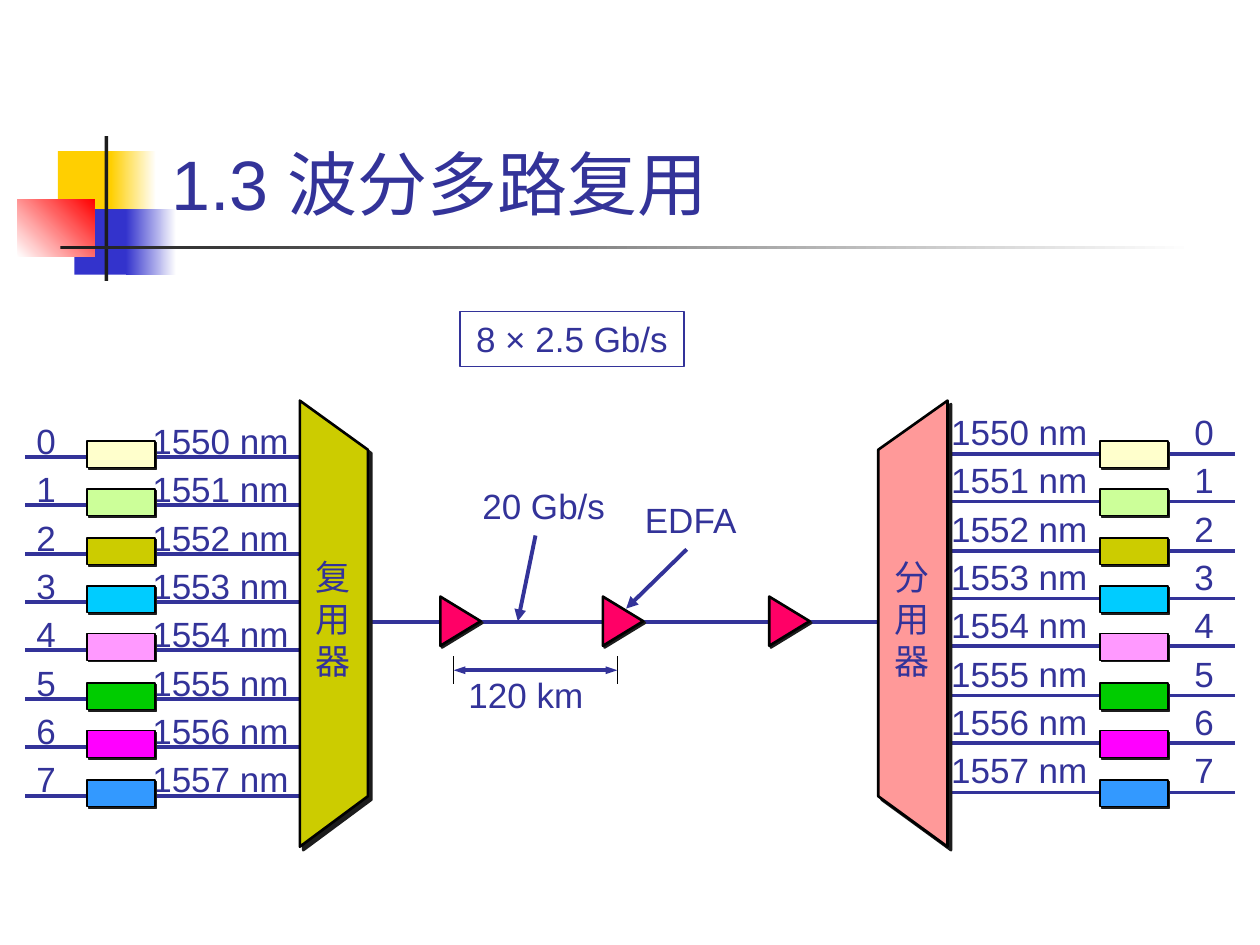
from collections import namedtuple
from dataclasses import dataclass

from lxml.etree import SubElement
from pptx import Presentation
from pptx.dml.color import RGBColor
from pptx.enum.shapes import MSO_CONNECTOR, MSO_SHAPE
from pptx.enum.text import MSO_ANCHOR, PP_ALIGN
from pptx.oxml.ns import qn
from pptx.util import Pt

SCALE = 9144
Box = namedtuple("Box", "left top width height")


@dataclass(frozen=True)
class Theme:
    """Colours, fonts and type sizes of the slide."""
    ink: str = "333399"
    black: str = "000000"
    dark: str = "1C1C1C"
    white: str = "FFFFFF"
    yellow: str = "FFCF01"
    blue: str = "3333CC"
    red: str = "FF0000"
    amplifier: str = "FF0066"
    multiplexer: str = "CCCC00"
    demultiplexer: str = "FF9999"
    channels: tuple = ("FFFFCC", "CCFF99", "CCCC00", "00CCFF",
                       "FF99FF", "00CC00", "FF00FF", "3399FF")
    latin: str = "Arial"
    serif: str = "Times New Roman"
    title_size: int = 40
    label_size: int = 20
    row_spacing: float = 27.6


@dataclass(frozen=True)
class Bank:
    """Layout of one side's channels, relative to its box."""
    box: Box
    wire_top: int
    filter_left: int
    text_left: int
    text_top: int
    tab: int
    number_first: bool


THEME = Theme()
PITCH = 38.36


def px(length):
    """Turn px into EMU."""
    return round(length * SCALE)


def rgb(code):
    """Turn a hex code into a colour."""
    return RGBColor.from_string(code)


def paint(shape, fill=None, line=None, width=0.75, shadow=0):
    """Set solid fill, outline and hard shadow of a shape."""
    shape.shadow.inherit = False
    if fill:
        shape.fill.solid()
        shape.fill.fore_color.rgb = rgb(fill)
    if line:
        shape.line.color.rgb = rgb(line)
        shape.line.width = Pt(width)
    else:
        shape.line.fill.background()
    if shadow:
        effects = shape._element.spPr.find(qn("a:effectLst"))
        outer = SubElement(effects, qn("a:outerShdw"), dist=str(Pt(shadow)),
                           dir="2700000", algn="ctr", rotWithShape="0")
        SubElement(outer, qn("a:srgbClr"), val=THEME.dark)


def add_preset(page, kind, box, **style):
    """Add a painted preset shape."""
    shape = page.shapes.add_shape(kind, *map(px, box))
    paint(shape, **style)
    return shape


def add_fade(page, box, start, end, angle=0):
    """Add a rectangle with a two-colour gradient."""
    shape = add_preset(page, MSO_SHAPE.RECTANGLE, box)
    shape.fill.gradient()
    shape.fill.gradient_angle = angle
    for stop, place, code in zip(shape.fill.gradient_stops, (0, 1), (start, end)):
        stop.position = place
        stop.color.rgb = rgb(code)


def add_line(page, start, end, color=THEME.ink, width=2.25, ends=(), head_width="med"):
    """Add a straight line with optional arrowheads."""
    line = page.shapes.add_connector(MSO_CONNECTOR.STRAIGHT, *map(px, start + end))
    line.line.color.rgb = rgb(color)
    line.line.width = Pt(width)
    SubElement(line._element.spPr, qn("a:effectLst"))
    for name in ends:
        SubElement(line.line._get_or_add_ln(), qn(f"a:{name}"),
                   type="triangle", w=head_width, len="med")


def set_font(font, size, name=None):
    """Set size, colour and typeface."""
    font.size = Pt(size)
    font.color.rgb = rgb(THEME.ink)
    if name:
        font.name = name


def add_label(page, box, lines, name=THEME.latin, align=PP_ALIGN.LEFT, spacing=None, tab=None):
    """Add a text box with one paragraph per line."""
    label = page.shapes.add_textbox(*map(px, box))
    frame = label.text_frame
    frame.word_wrap = True
    for index, text in enumerate(lines):
        para = frame.add_paragraph() if index else frame.paragraphs[0]
        para.text = text
        para.alignment = align
        if spacing:
            para.line_spacing = Pt(spacing)
        if tab:
            stops = SubElement(para._p.get_or_add_pPr(), qn("a:tabLst"))
            SubElement(stops, qn("a:tab"), pos=str(px(tab)), algn="l")
        set_font(para.font, THEME.label_size, name)
    return label


def draw_ornament(page, box):
    """Draw the coloured squares and rules beside the title."""
    def at(left, top, width, height):
        return Box(box.left + left, box.top + top, width, height)

    add_preset(page, MSO_SHAPE.RECTANGLE, at(32, 12, 48, 52), fill=THEME.yellow)
    add_fade(page, at(74, 12, 36, 52), THEME.yellow, THEME.white)
    add_preset(page, MSO_SHAPE.RECTANGLE, at(45, 58, 46, 52), fill=THEME.blue)
    add_fade(page, at(86, 58, 40, 52), THEME.blue, THEME.white)
    add_fade(page, at(0, 50, 61, 46), THEME.white, THEME.red, 45)
    add_preset(page, MSO_SHAPE.RECTANGLE, at(69, 0, 3, box.height), fill=THEME.dark)
    add_fade(page, at(34, 87, 900, 3), THEME.dark, THEME.white)


def draw_title(page, box):
    """Fill and place the title placeholder."""
    title = page.shapes.title
    title.left, title.top, title.width, title.height = map(px, box)
    title.text_frame.vertical_anchor = MSO_ANCHOR.BOTTOM
    para = title.text_frame.paragraphs[0]
    para.alignment = PP_ALIGN.LEFT
    set_font(para.font, THEME.title_size)
    for text, name in (("1.3 ", THEME.latin), ("波分多路复用", THEME.serif)):
        span = para.add_run()
        span.text = text
        set_font(span.font, THEME.title_size, name)


def draw_bank(page, bank):
    """Draw the eight wavelengths with their wires and filters."""
    left, top, width, height = bank.box
    rows = []
    for number in range(len(THEME.channels)):
        cells = (str(number), f"{1550 + number} nm")
        rows.append("\t".join(cells if bank.number_first else cells[::-1]))
    add_label(page, Box(left + bank.text_left, top + bank.text_top, 265, height + 27),
              rows, spacing=THEME.row_spacing, tab=bank.tab)
    for index, color in enumerate(THEME.channels):
        row = top + round(index * PITCH)
        wire = row + bank.wire_top
        add_line(page, (left, wire), (left + width, wire))
        add_preset(page, MSO_SHAPE.RECTANGLE, Box(left + bank.filter_left, row, 54, 21),
                   fill=color, line=THEME.black, shadow=1.4)


def draw_coupler(page, box, color, text, wide_left):
    """Draw a trapezoid coupler with its vertical name."""
    wide, narrow = box.left, box.left + box.width
    if not wide_left:
        wide, narrow = narrow, wide
    bottom = box.top + box.height
    builder = page.shapes.build_freeform(wide, box.top, scale=SCALE)
    builder.add_line_segments([(narrow, box.top + 39), (narrow, bottom - 40), (wide, bottom)])
    paint(builder.convert_to_shape(), color, THEME.black, 1.5, 2.8)
    add_label(page, Box(box.left + 3, box.top + 118, 60, 110), text, THEME.serif)


def draw_link(page, box):
    """Draw the fibre, its amplifiers and its dimensions."""
    left, top, width, height = box
    fibre = top + 247
    add_line(page, (left, fibre), (left + width, fibre))
    for offset in (92, 221, 353):
        triangle = add_preset(page, MSO_SHAPE.ISOSCELES_TRIANGLE,
                              Box(left + offset, fibre - 17, 39, 32),
                              fill=THEME.amplifier, line=THEME.black, width=1.5, shadow=1.4)
        triangle.rotation = 90
    rate = add_label(page, Box(left + 111, top, 178, 44), ["8 × 2.5 Gb/s"], align=PP_ALIGN.CENTER)
    paint(rate, line=THEME.ink)
    for text, offset, drop in (("20 Gb/s", 119, 133), ("EDFA", 248, 144), ("120 km", 108, 283)):
        add_label(page, Box(left + offset, top + drop, 130, 44), [text])
    add_line(page, (left + 171, top + 178), (left + 157, fibre - 1), ends=["tailEnd"])
    add_line(page, (left + 291, top + 189), (left + 243, top + 236), ends=["tailEnd"])
    for offset in (106, 236):
        add_line(page, (left + offset, top + 274), (left + offset, top + height), THEME.black, 0.75)
    add_line(page, (left + 106, top + 285), (left + 236, top + 285),
             ends=["headEnd", "tailEnd"], head_width="sm")


def main():
    """Build and save the deck."""
    deck = Presentation()
    deck.slide_width, deck.slide_height = px(1000), px(750)
    page = deck.slides.add_slide(deck.slide_layouts[5])
    draw_ornament(page, Box(14, 108, 934, 115))
    draw_title(page, Box(126, 99, 852, 84))
    draw_bank(page, Bank(Box(20, 350, 228, 290), 13, 49, -1, -27, 92, True))
    draw_bank(page, Bank(Box(752, 350, 228, 290), 10, 121, -7, -34, 193, False))
    draw_link(page, Box(254, 247, 492, 296))
    draw_coupler(page, Box(238, 318, 54, 354), THEME.multiplexer, "复用器", True)
    draw_coupler(page, Box(697, 318, 55, 354), THEME.demultiplexer, "分用器", False)
    deck.save("out.pptx")


if __name__ == "__main__":
    main()
